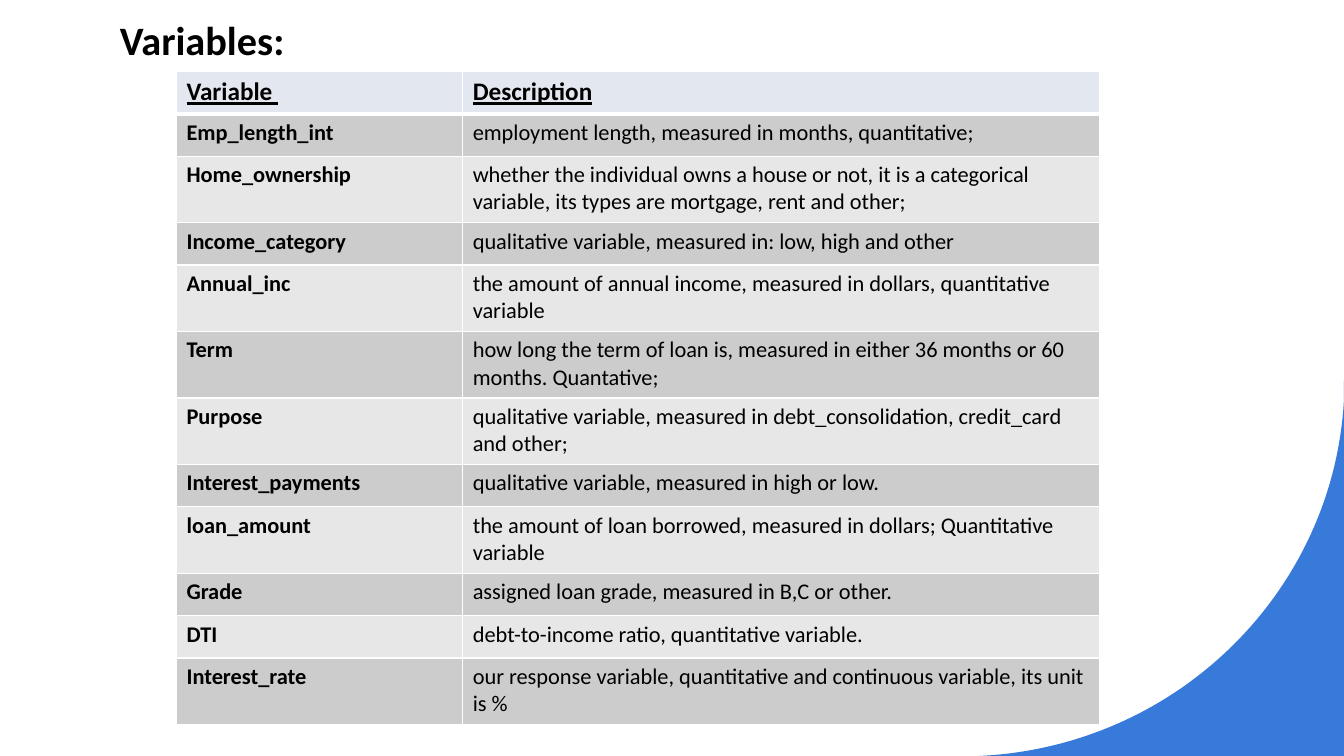
from dataclasses import dataclass

from lxml import etree
from pptx import Presentation
from pptx.dml.color import RGBColor
from pptx.enum.text import MSO_ANCHOR
from pptx.oxml.ns import qn
from pptx.util import Inches, Pt

MIDDLE = MSO_ANCHOR.MIDDLE
FONT = "Calibri"
BLACK = RGBColor(0x00, 0x00, 0x00)
WHITE = RGBColor(0xFF, 0xFF, 0xFF)
BLUE = RGBColor(0x37, 0x7A, 0xD9)
HEADER_FILL = RGBColor(0xE3, 0xE7, 0xEF)
DARK_BAND = RGBColor(0xCC, 0xCC, 0xCC)
LIGHT_BAND = RGBColor(0xE7, 0xE7, 0xE7)

SLIDE_WIDTH = Inches(13.33)
SLIDE_HEIGHT = Inches(7.5)
COLUMN_SHARES = (21.3, 47.4)
ROW_SHARES = {1: 5.6, 2: 8.8}
CURVE_SHARES = ((72.84, 100), (87.55, 98.8), (99.25, 78.27), (100, 52.8))
CURVE_STEPS = 60


@dataclass(frozen=True)
class Variable:
    name: str
    description: str
    lines: int = 1


HEADER = Variable("Variable ", "Description")
VARIABLES = (
    Variable("Emp_length_int", "employment length, measured in months, quantitative;"),
    Variable("Home_ownership", "whether the individual owns a house or not, it is a categorical "
             "variable, its types are mortgage, rent and other;", 2),
    Variable("Income_category", "qualitative variable, measured in: low, high and other"),
    Variable("Annual_inc", "the amount of annual income, measured in dollars, "
             "quantitative variable", 2),
    Variable("Term", "how long the term of loan is, measured in either 36 months or 60 "
             "months. Quantative;", 2),
    Variable("Purpose", "qualitative variable, measured in debt_consolidation, credit_card "
             "and other;", 2),
    Variable("Interest_payments", "qualitative variable, measured in high or low."),
    Variable("loan_amount", "the amount of loan borrowed, measured in dollars; "
             "Quantitative variable", 2),
    Variable("Grade", "assigned loan grade, measured in B,C or other."),
    Variable("DTI", "debt-to-income ratio, quantitative variable."),
    Variable("Interest_rate", "our response variable, quantitative and continuous variable, "
             "its unit is %", 2),
)


def across(percent: float) -> int:
    return round(SLIDE_WIDTH * percent / 100)


def down(percent: float) -> int:
    return round(SLIDE_HEIGHT * percent / 100)


def style_text(paragraph, size: float, bold: bool, underline: bool = False) -> None:
    for run in paragraph.runs:
        run.font.name = FONT
        run.font.size = Pt(size)
        run.font.bold = bold
        run.font.underline = underline
        run.font.color.rgb = BLACK


def curve_point(step: int) -> tuple[int, int]:
    end = step / CURVE_STEPS
    start = 1 - end
    weights = (start ** 3, 3 * start ** 2 * end, 3 * start * end ** 2, end ** 3)
    x = sum(weight * point[0] for weight, point in zip(weights, CURVE_SHARES))
    y = sum(weight * point[1] for weight, point in zip(weights, CURVE_SHARES))
    return across(x), down(y)


def draw_corner(slide) -> None:
    builder = slide.shapes.build_freeform(across(100), down(50.4))
    points = [(across(100), down(100)), (across(72.24), down(100))]
    points += [curve_point(step) for step in range(CURVE_STEPS + 1)]
    builder.add_line_segments(points, close=True)
    corner = builder.convert_to_shape()
    corner.shadow.inherit = False
    corner.fill.solid()
    corner.fill.fore_color.rgb = BLUE
    corner.line.fill.background()


def draw_title(slide) -> None:
    title = slide.shapes.add_textbox(across(8.18), down(2), across(81.6), down(7.33))
    title.text_frame.word_wrap = True
    title.text_frame.vertical_anchor = MIDDLE
    title.text_frame.text = "Variables:"
    paragraph = title.text_frame.paragraphs[0]
    paragraph.line_spacing = 0.9
    style_text(paragraph, 28.8, True)


def set_borders(cell, top: float, bottom: float) -> None:
    properties = cell._tc.get_or_add_tcPr()
    widths = {"a:lnL": 1, "a:lnR": 1, "a:lnT": top, "a:lnB": bottom}
    for position, (tag, width) in enumerate(widths.items()):
        border = etree.Element(qn(tag), w=str(Pt(width)))
        fill = etree.SubElement(border, qn("a:solidFill"))
        etree.SubElement(fill, qn("a:srgbClr"), val=str(WHITE))
        properties.insert(position, border)


def draw_table(slide) -> None:
    variables = (HEADER, *VARIABLES)
    height = sum(ROW_SHARES[variable.lines] for variable in variables)
    table = slide.shapes.add_table(
        len(variables), len(COLUMN_SHARES), across(13.13), down(9.47),
        across(sum(COLUMN_SHARES)), down(height),
    ).table
    for column, share in zip(table.columns, COLUMN_SHARES):
        column.width = across(share)
    for index, variable in enumerate(variables):
        is_header = index == 0
        band = DARK_BAND if index % 2 else LIGHT_BAND
        table.rows[index].height = down(ROW_SHARES[variable.lines])
        for column, text in enumerate((variable.name, variable.description)):
            cell = table.cell(index, column)
            cell.text_frame.text = text
            style_text(cell.text_frame.paragraphs[0], 18 if is_header else 16,
                       is_header or column == 0, is_header)
            cell.fill.solid()
            cell.fill.fore_color.rgb = HEADER_FILL if is_header else band
            set_borders(cell, 3 if index == 1 else 1, 3 if is_header else 1)


def main() -> None:
    presentation = Presentation()
    presentation.slide_width = SLIDE_WIDTH
    presentation.slide_height = SLIDE_HEIGHT
    slide = presentation.slides.add_slide(presentation.slide_layouts[6])
    draw_corner(slide)
    draw_table(slide)
    draw_title(slide)
    presentation.save("out.pptx")


if __name__ == "__main__":
    main()
